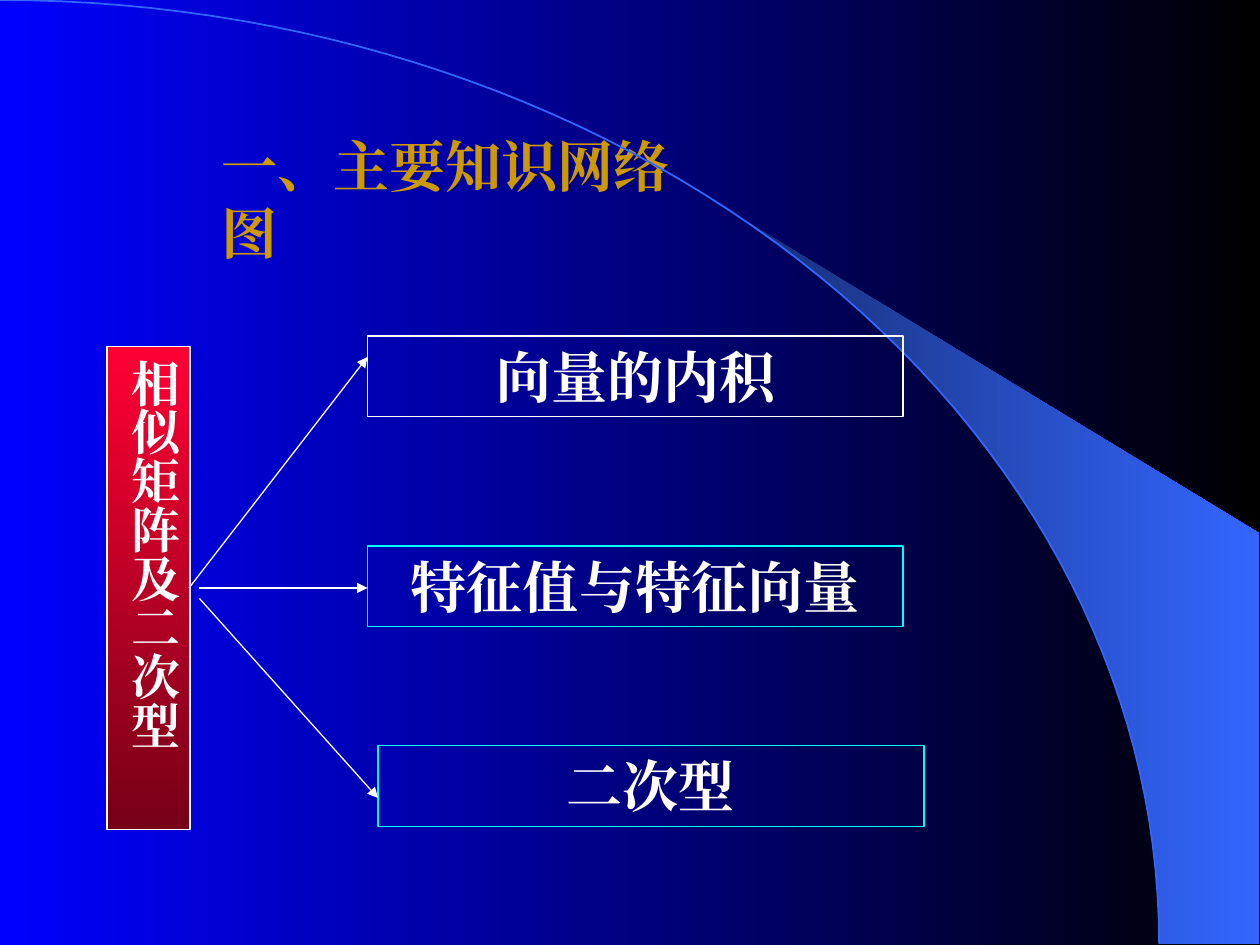
from math import asin, cos, pi, sin

from lxml.etree import SubElement
from pptx import Presentation
from pptx.dml.color import RGBColor
from pptx.enum.shapes import MSO_CONNECTOR as Connector, MSO_SHAPE as Shape
from pptx.enum.text import MSO_ANCHOR as Anchor, MSO_AUTO_SIZE as AutoSize, PP_ALIGN as Align
from pptx.oxml.ns import qn
from pptx.util import Inches, Pt

FONT = "Times New Roman"
WHITE, CYAN, GOLD, BLUE = "FFFFFF", "00FFFF", "CC9900", "3366FF"
WIDTH, HEIGHT = Inches(10), Inches(7.5)
COLUMN, ROW = WIDTH / 120, HEIGHT / 90  # square grid cells
TOPIC_ROWS = 7.7

# Left, top and width in cells from the network's corner, then outline
TOPICS = [
    ("向量的内积", 25, 0, 51, WHITE),
    ("特征值与特征向量", 25, 20, 51, CYAN),
    ("二次型", 26, 39, 52, CYAN),
]
ARROWS = [((8, 24), (25, 2)), ((9, 24), (25, 24)), ((9, 25), (26, 44))]


def color(value):
    return RGBColor.from_string(value)


def grid(left, top, width, height):
    return [round(n * cell) for n, cell in
            ((left, COLUMN), (top, ROW), (width, COLUMN), (height, ROW))]


def set_gradient(fill, start, end, angle):
    fill.gradient()
    fill.gradient_angle = angle
    for stop, value, position in zip(fill.gradient_stops, (start, end), (0, 1)):
        stop.color.rgb = color(value)
        stop.position = position


def set_line(line, value, width=0.75):
    line.color.rgb = color(value)
    line.width = Pt(width)


def write(shape, text, size, value, align, margins, space=0, wrap=True):
    """Fill a shape with one bold run; margins are horizontal and vertical inches."""
    frame = shape.text_frame
    frame.word_wrap = wrap
    frame.auto_size = AutoSize.SHAPE_TO_FIT_TEXT
    frame.vertical_anchor = Anchor.TOP
    frame.margin_left = frame.margin_right = Inches(margins[0])
    frame.margin_top = frame.margin_bottom = Inches(margins[1])
    paragraph = frame.paragraphs[0]
    paragraph.alignment = align
    paragraph.space_before = Pt(space)
    run = paragraph.add_run()
    run.text = text
    run.font.name, run.font.size, run.font.bold = FONT, Pt(size), True
    run.font.color.rgb = color(value)
    SubElement(run.font._element, qn("a:ea"), typeface=FONT)


def add_outline(slide, points, closed):
    builder = slide.shapes.build_freeform(*points[0])
    builder.add_line_segments(points[1:], close=closed)
    shape = builder.convert_to_shape()
    shape.shadow.inherit = False
    return shape


def draw_backdrop(slide, width, height):
    """Horizon arc, a quarter ellipse, with a beam of light touching it."""
    set_gradient(slide.background.fill, "0000FF", "000000", 0)
    radius_x, radius_y = 0.92 * width, 0.999 * height
    touch = asin(0.64)

    def arc(start, steps=60):
        angles = [start + (pi / 2 - start) * i / steps for i in range(steps + 1)]
        return [(round(radius_x * sin(a)), round(radius_y * (1 - cos(a)))) for a in angles]

    right = round(0.999 * width)
    corners = [(right, round(radius_y)), (right, round(0.564 * height))]
    beam = add_outline(slide, arc(touch) + corners, True)
    set_gradient(beam.fill, "182F76", BLUE, 0)
    beam.line.fill.background()

    horizon = add_outline(slide, arc(0), False)
    horizon.fill.background()
    set_line(horizon.line, BLUE, 1)


def draw_title(slide, box):
    title = slide.shapes.title
    title.left, title.top, title.width, title.height = box
    write(title, "一、主要知识网络图", 32, GOLD, Align.LEFT, (0.1, 0.05), wrap=False)


def add_box(slide, box, outline):
    shape = slide.shapes.add_shape(Shape.RECTANGLE, *box)
    shape.shadow.inherit = False
    shape.fill.background()
    set_line(shape.line, outline)
    return shape


def add_arrow(slide, start, end):
    arrow = slide.shapes.add_connector(Connector.STRAIGHT, *start, *end)
    set_line(arrow.line, WHITE)
    SubElement(arrow.line._get_or_add_ln(), qn("a:tailEnd"), type="triangle")
    SubElement(arrow._element.spPr, qn("a:effectLst"))


def draw_network(slide, left, top):
    """Chapter bar with arrows to its topics, from a corner given in grid cells."""
    chapter = add_box(slide, grid(left + 0.2, top + 1, 7.9, 46), WHITE)
    set_gradient(chapter.fill, "FF0033", "760018", 270)
    write(chapter, "相似矩阵及二次型", 28, WHITE, Align.CENTER, (0.05, 0.1), 17.5)
    chapter._element.txBody.bodyPr.set("vert", "eaVert")

    for text, x, y, width, outline in TOPICS:
        topic = add_box(slide, grid(left + x, top + y, width, TOPIC_ROWS), outline)
        write(topic, text, 32, WHITE, Align.CENTER, (0.1, 0.05), 20)

    for ends in ARROWS:
        start, end = (grid(left + x, top + y, 0, 0)[:2] for x, y in ends)
        add_arrow(slide, start, end)


def main():
    presentation = Presentation()
    presentation.slide_width, presentation.slide_height = WIDTH, HEIGHT
    slide = presentation.slides.add_slide(presentation.slide_layouts[5])
    draw_backdrop(slide, WIDTH, HEIGHT)
    draw_network(slide, 10, 32)
    draw_title(slide, grid(19.9, 11.9, 50.4, TOPIC_ROWS))
    presentation.save("out.pptx")


if __name__ == "__main__":
    main()
